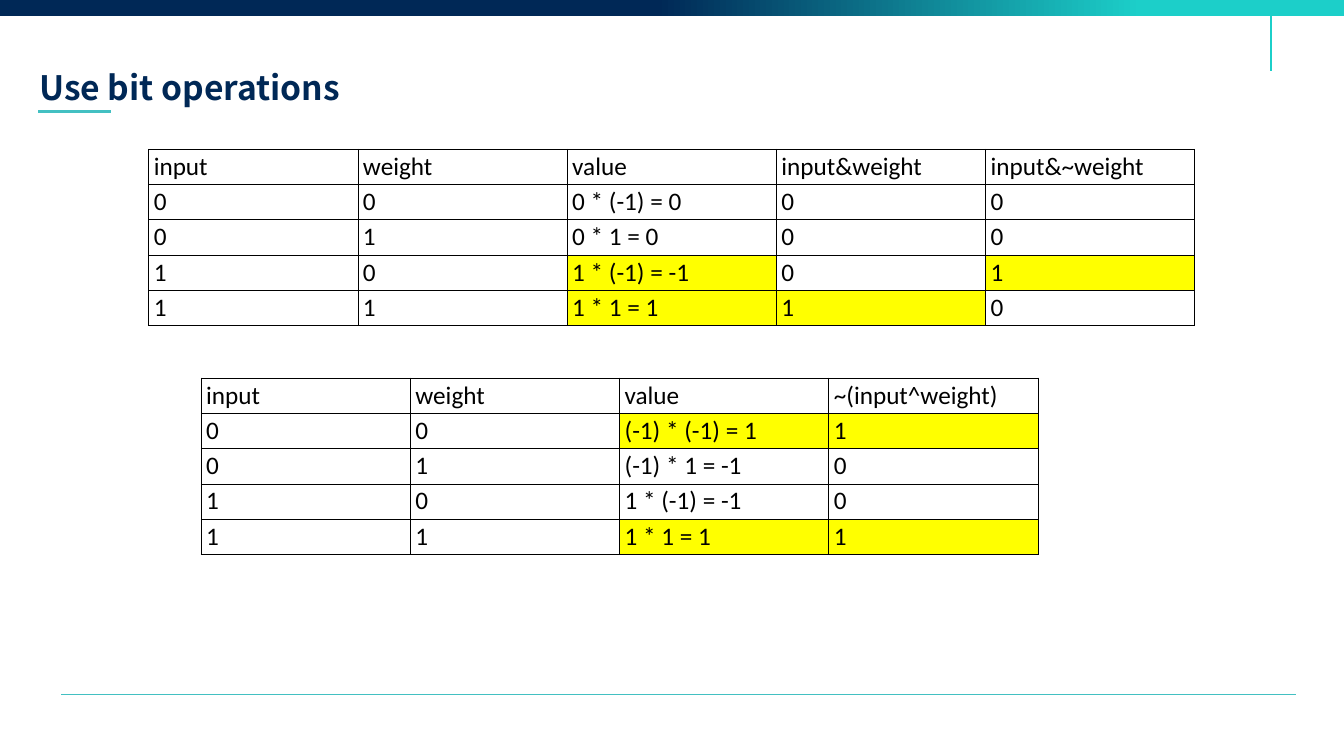
"""Build a slide with two truth tables for bit operations."""
from dataclasses import dataclass

from lxml import etree
from pptx import Presentation
from pptx.dml.color import RGBColor
from pptx.enum.shapes import MSO_CONNECTOR, MSO_SHAPE
from pptx.enum.text import MSO_ANCHOR
from pptx.oxml.ns import qn
from pptx.slide import Slide
from pptx.table import _Cell
from pptx.text.text import Font
from pptx.util import Inches, Pt

STRAIGHT = MSO_CONNECTOR.STRAIGHT
RECT = MSO_SHAPE.RECTANGLE
MIDDLE = MSO_ANCHOR.MIDDLE


@dataclass(frozen=True)
class Theme:
    navy: str = "002856"
    teal: str = "43C0C2"
    aqua: str = "1CCFC9"
    black: str = "000000"
    mark: str = "FFFF00"
    head: str = "Noto Sans CJK KR"
    body: str = "Calibri"
    title: int = 48
    cell: int = 36
    border: int = 1


@dataclass(frozen=True)
class Rule:
    start: tuple[float, float]
    end: tuple[float, float]
    color: str
    width: float


@dataclass(frozen=True)
class Grid:
    left: float
    top: float
    rows: list[list[str]]
    marks: set[tuple[int, int]]


THEME = Theme()
COL, ROW, PAD = 4.15, 0.7, 0.04

RULES = [
    Rule((0.76, 2.21), (2.21, 2.21), THEME.teal, 4.5),
    Rule((1.22, 13.78), (25.71, 13.78), THEME.teal, 0.5),
    Rule((25.21, -0.18), (25.21, 1.41), THEME.aqua, 3.25),
]

GRIDS = [
    Grid(2.95, 2.96, [
        ["input", "weight", "value", "input&weight", "input&~weight"],
        ["0", "0", "0 * (-1) = 0", "0", "0"],
        ["0", "1", "0 * 1 = 0", "0", "0"],
        ["1", "0", "1 * (-1) = -1", "0", "1"],
        ["1", "1", "1 * 1 = 1", "1", "0"],
    ], {(3, 2), (3, 4), (4, 2), (4, 3)}),
    Grid(3.99, 7.5, [
        ["input", "weight", "value", "~(input^weight)"],
        ["0", "0", "(-1) * (-1) = 1", "1"],
        ["0", "1", "(-1) * 1 = -1", "0"],
        ["1", "0", "1 * (-1) = -1", "0"],
        ["1", "1", "1 * 1 = 1", "1"],
    ], {(1, 2), (1, 3), (4, 2), (4, 3)}),
]


def rgb(code: str) -> RGBColor:
    return RGBColor.from_string(code)


def style(font: Font, name: str, size: int, color: str, bold: bool = False) -> None:
    font.name, font.size, font.bold = name, Pt(size), bold
    font.color.rgb = rgb(color)


def add_title(slide: Slide, text: str) -> None:
    box = slide.shapes.add_textbox(
        Inches(0.68), Inches(1.28), Inches(15.34), Inches(0.91))
    frame = box.text_frame
    frame.word_wrap = True
    frame.vertical_anchor = MIDDLE
    frame.text = text
    run = frame.paragraphs[0].runs[0]
    style(run.font, THEME.head, THEME.title, THEME.navy, True)
    face = etree.SubElement(run.font._element, qn("a:ea"))
    face.set("typeface", THEME.head)


def add_band(slide: Slide) -> None:
    band = slide.shapes.add_shape(
        RECT, Inches(-0.08), Inches(-0.18), Inches(26.74), Inches(0.49))
    band.shadow.inherit = False
    band.line.fill.background()
    band.fill.gradient()
    band.fill.gradient_angle = 0
    stops = [(0.49, THEME.navy), (0.85, THEME.aqua)]
    for stop, (place, color) in zip(band.fill.gradient_stops, stops):
        stop.position = place
        stop.color.rgb = rgb(color)


def add_rule(slide: Slide, rule: Rule) -> None:
    ends = [Inches(n) for n in (*rule.start, *rule.end)]
    line = slide.shapes.add_connector(STRAIGHT, *ends)
    line.line.color.rgb = rgb(rule.color)
    line.line.width = Pt(rule.width)
    etree.SubElement(line._element.spPr, qn("a:effectLst"))


def add_edges(cell: _Cell) -> None:
    props = cell._tc.get_or_add_tcPr()
    for side in ("lnL", "lnR", "lnT", "lnB"):
        edge = etree.SubElement(props, qn(f"a:{side}"), w=str(Pt(THEME.border)))
        fill = etree.SubElement(edge, qn("a:solidFill"))
        etree.SubElement(fill, qn("a:srgbClr"), val=THEME.black)


def fill_cell(cell: _Cell, text: str, marked: bool) -> None:
    cell.margin_top = cell.margin_bottom = Inches(PAD)
    cell.text_frame.text = text
    font = cell.text_frame.paragraphs[0].runs[0].font
    style(font, THEME.body, THEME.cell, THEME.black)
    add_edges(cell)
    if marked:
        cell.fill.solid()
        cell.fill.fore_color.rgb = rgb(THEME.mark)
    else:
        cell.fill.background()


def add_grid(slide: Slide, grid: Grid) -> None:
    high, wide = len(grid.rows), len(grid.rows[0])
    table = slide.shapes.add_table(
        high, wide, Inches(grid.left), Inches(grid.top),
        Inches(COL * wide), Inches(ROW * high)).table
    table.first_row = table.horz_banding = False
    for r, row in enumerate(grid.rows):
        for c, text in enumerate(row):
            fill_cell(table.cell(r, c), text, (r, c) in grid.marks)


def main() -> None:
    deck = Presentation()
    deck.slide_width, deck.slide_height = Inches(26.66), Inches(15)
    slide = deck.slides.add_slide(deck.slide_layouts[6])
    add_title(slide, "Use bit operations")
    add_band(slide)
    for rule in RULES:
        add_rule(slide, rule)
    for grid in GRIDS:
        add_grid(slide, grid)
    deck.save("out.pptx")


if __name__ == "__main__":
    main()
